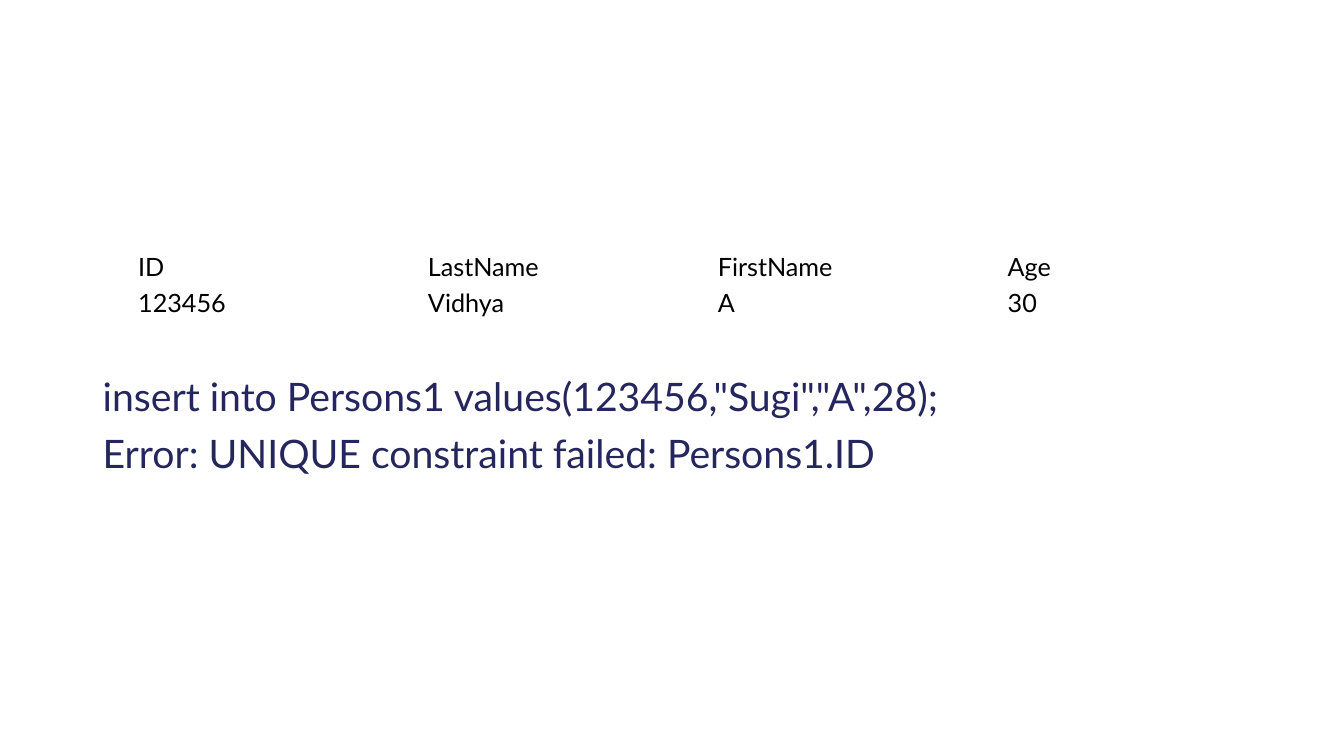
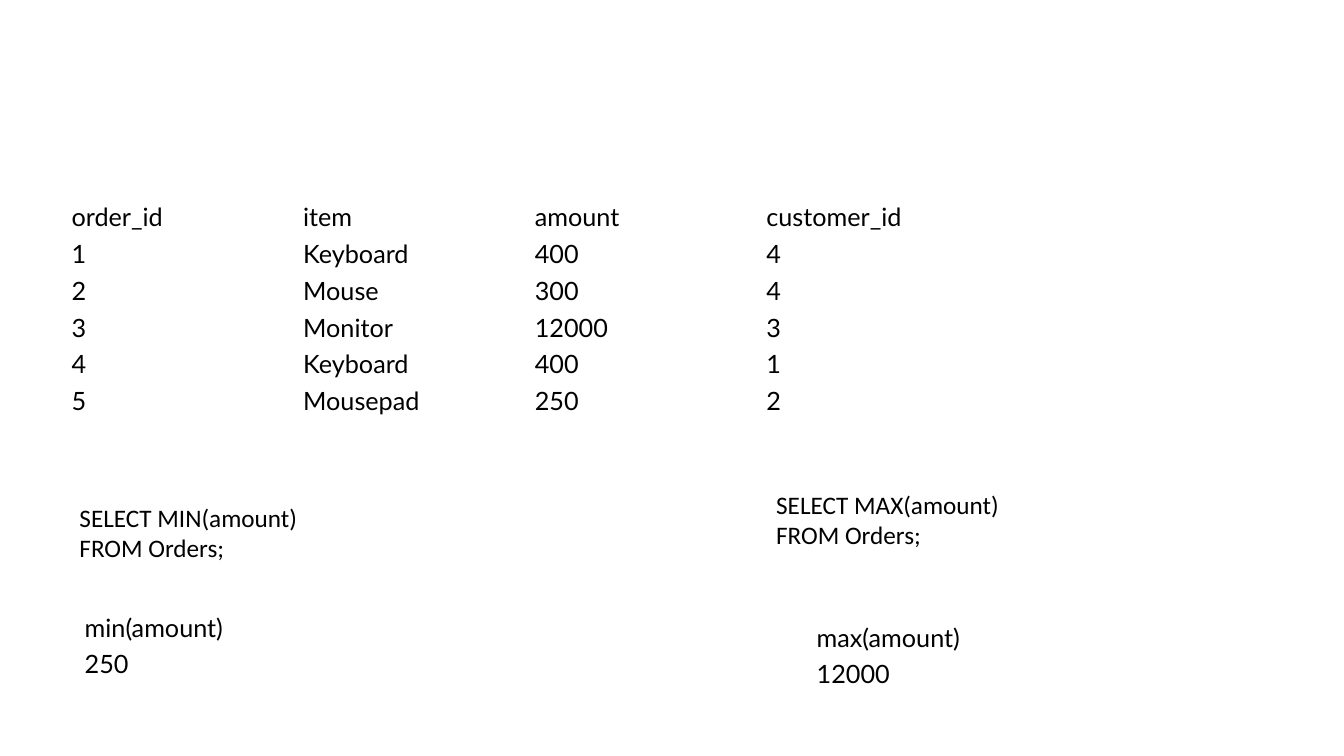
from pptx import Presentation
from pptx.dml.color import RGBColor
from pptx.enum.text import MSO_ANCHOR
from pptx.util import Inches, Pt

MIDDLE = MSO_ANCHOR.MIDDLE
WIDE, HIGH = 13.33, 7.5
BLANK = 6
ROW = 0.365
BLACK, WHITE, NAVY = "000000", "FFFFFF", "25265E"

CELL = {
    "margin_left": Inches(0.15), "margin_right": Inches(0.15),
    "margin_top": Inches(0.03), "margin_bottom": Inches(0.03),
    "vertical_anchor": MIDDLE,
}
PLAIN = {"first_row": False, "horz_banding": False}
DATA = {"name": "Lato", "size": Pt(18), "bold": False}
QUERY = {"name": "Calibri", "size": Pt(18)}
LEAD = {"name": "Lato", "size": Pt(28)}
LOOSE = {"line_spacing": 0.9, "space_after": Pt(10)}

PERSONS = [
    ("ID", "LastName", "FirstName", "Age"),
    ("123456", "Vidhya", "A", "30"),
]
INSERT = [
    'insert into Persons1 values(123456,"Sugi","A",28);',
    "Error: UNIQUE constraint failed: Persons1.ID",
]
ORDERS = [
    ("order_id", "item", "amount", "customer_id"),
    ("1", "Keyboard", "400", "4"),
    ("2", "Mouse", "300", "4"),
    ("3", "Monitor", "12000", "3"),
    ("4", "Keyboard", "400", "1"),
    ("5", "Mousepad", "250", "2"),
]


def color(code):
    return RGBColor.from_string(code)


def apply(item, style):
    for key, value in style.items():
        setattr(item, key, value)


class Deck:
    """Holds the presentation and the slide being filled."""

    def __init__(self):
        self.prs = Presentation()
        self.prs.slide_width = Inches(WIDE)
        self.prs.slide_height = Inches(HIGH)
        self.slide = None

    def page(self):
        layout = self.prs.slide_layouts[BLANK]
        self.slide = self.prs.slides.add_slide(layout)

    def ink(self, font, style, code):
        apply(font, style)
        font.color.rgb = color(code)

    def text(self, left, top, width, height, lines, style, code=BLACK, para=None):
        box = self.slide.shapes.add_textbox(
            *map(Inches, (left, top, width, height)))
        frame = box.text_frame
        frame.word_wrap = True
        frame.text = "\n".join(lines)
        for item in frame.paragraphs:
            apply(item, para or {})
            self.ink(item.runs[0].font, style, code)

    def table(self, left, top, width, rows):
        """Draw rows of text in equal columns, without bands or header."""
        size = (left, top, width, ROW * len(rows))
        grid = self.slide.shapes.add_table(
            len(rows), len(rows[0]), *map(Inches, size)).table
        apply(grid, PLAIN)
        for r, row in enumerate(rows):
            for c, word in enumerate(row):
                cell = grid.cell(r, c)
                apply(cell, CELL)
                cell.fill.solid()
                cell.fill.fore_color.rgb = color(WHITE)
                cell.text = word
                run = cell.text_frame.paragraphs[0].runs[0]
                self.ink(run.font, DATA, BLACK)


def main():
    deck = Deck()

    deck.page()
    deck.text(0.92, 3.7, 11.5, 1.3, INSERT, LEAD, NAVY, LOOSE)
    deck.table(1.22, 2.46, 11.5, PERSONS)

    deck.page()
    deck.table(0.56, 1.97, 9.19, ORDERS)
    results = [
        ("min", "250", 0.69, 4.93, 0.69, 6.04),
        ("max", "12000", 7.6, 4.8, 7.95, 6.14),
    ]
    for name, value, x, y, left, top in results:
        lines = [f"SELECT {name.upper()}(amount)", "FROM Orders;"]
        deck.text(x, y, 5.5, 0.71, lines, QUERY)
        deck.table(left, top, 5.3, [(f"{name}(amount)",), (value,)])

    deck.prs.save("out.pptx")


if __name__ == "__main__":
    main()
